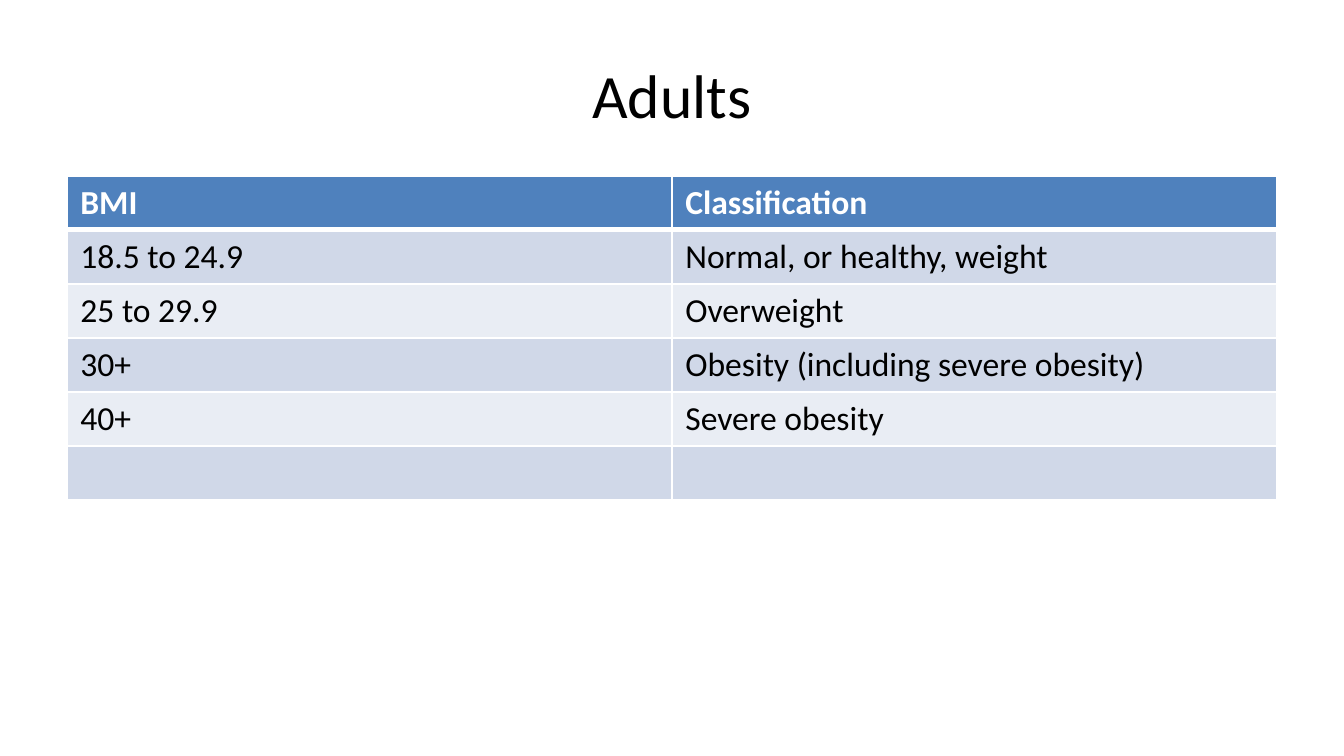
from lxml.etree import SubElement
from pptx import Presentation
from pptx.dml.color import RGBColor
from pptx.enum.text import MSO_ANCHOR, PP_ALIGN
from pptx.oxml.ns import qn
from pptx.util import Pt

PX = 6804  # EMU per px
COLORS = {"header": "4F81BD", "odd": "D0D8E8", "even": "E9EDF4",
          "white": "FFFFFF", "black": "000000"}


def add_text(p, text, color, **formats):
    r = p.add_run()
    r.text = text
    for name, value in {"name": "Calibri", **formats}.items():
        setattr(r.font, name, value)
    r.font.color.rgb = RGBColor.from_string(COLORS[color])


def add_border(cell, side, width):
    ln = SubElement(cell._tc.get_or_add_tcPr(), qn(f"a:{side}"), w=str(Pt(width)))
    fill = SubElement(ln, qn("a:solidFill"))
    SubElement(fill, qn("a:srgbClr"), val=COLORS["white"])


prs = Presentation()
prs.slide_width, prs.slide_height = 1344 * PX, 756 * PX
s = prs.slides.add_slide(prs.slide_layouts[6])

# Title
sp = s.shapes.add_textbox(67 * PX, 31 * PX, 1210 * PX, 126 * PX)
tf = sp.text_frame
tf.word_wrap = True
tf.vertical_anchor = MSO_ANCHOR.MIDDLE
p = tf.paragraphs[0]
p.alignment = PP_ALIGN.CENTER
add_text(p, "Adults", "black", size=Pt(33))

# BMI table
rows = [
    ("BMI", "Classification"),
    ("18.5 to 24.9", "Normal, or healthy, weight"),
    ("25 to 29.9", "Overweight"),
    ("30+", "Obesity (including severe obesity)"),
    ("40+", "Severe obesity"),
    ("", ""),
]
row_height = 54
table = s.shapes.add_table(len(rows), 2, 67 * PX, 176 * PX, 1210 * PX,
                           len(rows) * row_height * PX).table
for i, row in enumerate(rows):
    is_header = i == 0
    band = "header" if is_header else "odd" if i % 2 else "even"
    for j, text in enumerate(row):
        cell = table.cell(i, j)
        # Borders come before the fill in the cell properties
        for side in ("lnL", "lnR", "lnT", "lnB"):
            add_border(cell, side, 3 if is_header and side == "lnB" else 1)
        cell.fill.solid()
        cell.fill.fore_color.rgb = RGBColor.from_string(COLORS[band])
        if text:
            add_text(cell.text_frame.paragraphs[0], text,
                     "white" if is_header else "black", size=Pt(18), bold=is_header)

prs.save("out.pptx")
